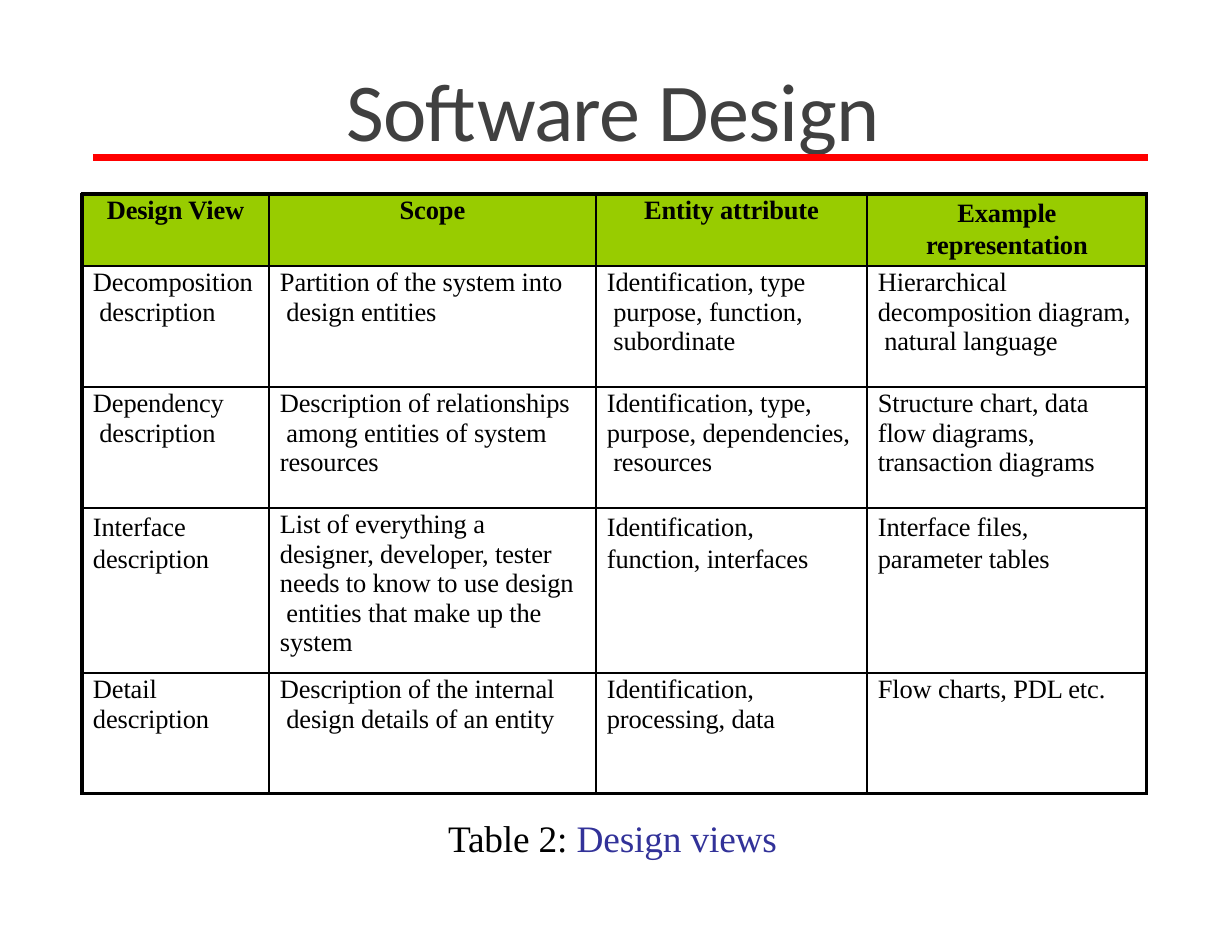
from lxml.etree import SubElement
from pptx import Presentation
from pptx.dml.color import RGBColor
from pptx.enum.shapes import MSO_CONNECTOR
from pptx.enum.text import MSO_ANCHOR, MSO_AUTO_SIZE, PP_ALIGN
from pptx.oxml.ns import qn
from pptx.util import Emu, Pt

EMU_PER_PX = 914400 / 112

BLACK = RGBColor(0x00, 0x00, 0x00)
CHARCOAL = RGBColor(0x40, 0x40, 0x40)
RED = RGBColor(0xFF, 0x00, 0x00)
GREEN = RGBColor(0x98, 0xCC, 0x00)
INDIGO = RGBColor(0x32, 0x32, 0x99)

COLUMN_WIDTHS = [187, 327, 271, 280]
ROW_HEIGHTS = [72, 121, 121, 165, 121]
DESIGN_VIEWS = [
    ["Design View", "Scope", "Entity attribute", "Example\nrepresentation"],
    ["Decomposition\n description",
     "Partition of the system into\n design entities",
     "Identification, type\n purpose, function,\n subordinate",
     "Hierarchical\ndecomposition diagram,\n natural language"],
    ["Dependency\n description",
     "Description of relationships\n among entities of system\nresources",
     "Identification, type,\npurpose, dependencies,\n resources",
     "Structure chart, data\nflow diagrams,\ntransaction diagrams"],
    ["Interface\ndescription",
     "List of everything a\ndesigner, developer, tester\nneeds to know to use design\n"
     " entities that make up the\nsystem",
     "Identification,\nfunction, interfaces",
     "Interface files,\nparameter tables"],
    ["Detail\ndescription",
     "Description of the internal\n design details of an entity",
     "Identification,\nprocessing, data",
     "Flow charts, PDL etc."],
]
# Row and column of the cells with wider line spacing
OPEN_CELLS = {(0, 3), (3, 0), (3, 2), (3, 3)}


def px(length):
    return Emu(round(length * EMU_PER_PX))


def add_text(paragraph, text, size=17, font="Times New Roman", color=BLACK,
             bold=False, tracking=-0.1):
    """Append text to a paragraph; a newline becomes a line break."""
    for number, line in enumerate(text.split("\n")):
        if number:
            paragraph.add_line_break()
        run = paragraph.add_run()
        run.text = line
        run.font.size = Pt(size)
        run.font.name = font
        run.font.color.rgb = color
        run.font.bold = bold
        run._r.get_or_add_rPr().set("spc", str(round(tracking * 100)))


def prepare_frame(frame, anchor):
    frame.word_wrap = True
    frame.auto_size = MSO_AUTO_SIZE.NONE
    frame.vertical_anchor = anchor
    frame.margin_left = px(1)
    frame.margin_right = frame.margin_bottom = 0
    frame.margin_top = px(1)
    paragraph = frame.paragraphs[0]
    paragraph.alignment = PP_ALIGN.LEFT
    return paragraph


def set_borders(cell, widths):
    properties = cell._tc.get_or_add_tcPr()
    for side, width in widths.items():
        border = SubElement(properties, qn(f"a:ln{side}"), w=str(Pt(width)))
        fill = SubElement(border, qn("a:solidFill"))
        SubElement(fill, qn("a:srgbClr"), val=str(BLACK))


def place_title(slide, left, top, width, height):
    title = slide.shapes.title
    title.left, title.top = px(left), px(top)
    title.width, title.height = px(width), px(height)
    heading = prepare_frame(title.text_frame, MSO_ANCHOR.BOTTOM)
    add_text(heading, "Software Design", size=52.8, font="Calibri",
             color=CHARCOAL, tracking=-0.4)


def place_rule(slide, left, top, width):
    rule = slide.shapes.add_connector(
        MSO_CONNECTOR.STRAIGHT, px(left), px(top), px(left + width), px(top))
    rule.line.color.rgb = RED
    rule.line.width = Pt(4.5)
    SubElement(rule._element.spPr, qn("a:effectLst"))


def place_table(slide, left, top):
    last_row, last_column = len(ROW_HEIGHTS) - 1, len(COLUMN_WIDTHS) - 1
    table = slide.shapes.add_table(
        len(ROW_HEIGHTS), len(COLUMN_WIDTHS), px(left), px(top),
        px(sum(COLUMN_WIDTHS)), px(sum(ROW_HEIGHTS))).table
    table.horz_banding = False
    for column, width in zip(table.columns, COLUMN_WIDTHS):
        column.width = px(width)
    for row, height in zip(table.rows, ROW_HEIGHTS):
        row.height = px(height)

    for r, texts in enumerate(DESIGN_VIEWS):
        for c, text in enumerate(texts):
            cell = table.cell(r, c)
            is_header = r == 0
            # Heavy outer frame, thin inner grid
            set_borders(cell, {
                "L": 2.25 if c == 0 else 1,
                "R": 2.25 if c == last_column else 1,
                "T": 2.25 if is_header else 1,
                "B": 2.25 if r == last_row else 1,
            })
            if is_header:
                cell.fill.solid()
                cell.fill.fore_color.rgb = GREEN
            else:
                cell.fill.background()
            cell.vertical_anchor = MSO_ANCHOR.TOP
            cell.margin_left = 0 if is_header else px(11)
            cell.margin_right = cell.margin_bottom = 0
            cell.margin_top = px(3 if (r, c) in OPEN_CELLS else 2)

            paragraph = cell.text_frame.paragraphs[0]
            paragraph.alignment = PP_ALIGN.CENTER if is_header else PP_ALIGN.LEFT
            if (r, c) in OPEN_CELLS:
                paragraph.line_spacing = Pt(20.3)
            add_text(paragraph, text, bold=is_header)


def place_caption(slide, left, top, width, height):
    caption = slide.shapes.add_textbox(px(left), px(top), px(width), px(height))
    paragraph = prepare_frame(caption.text_frame, MSO_ANCHOR.TOP)
    add_text(paragraph, "Table 2: ", size=24)
    add_text(paragraph, "Design views", size=24, color=INDIGO)


def main():
    presentation = Presentation()
    presentation.slide_width = px(1232)
    presentation.slide_height = px(952)
    slide = presentation.slides.add_slide(presentation.slide_layouts[5])
    place_rule(slide, 93, 158, 1055)
    place_title(slide, 345, 57, 644, 101)
    place_caption(slide, 447, 814, 338, 48)
    place_table(slide, 82, 194)
    presentation.save("out.pptx")


if __name__ == "__main__":
    main()
